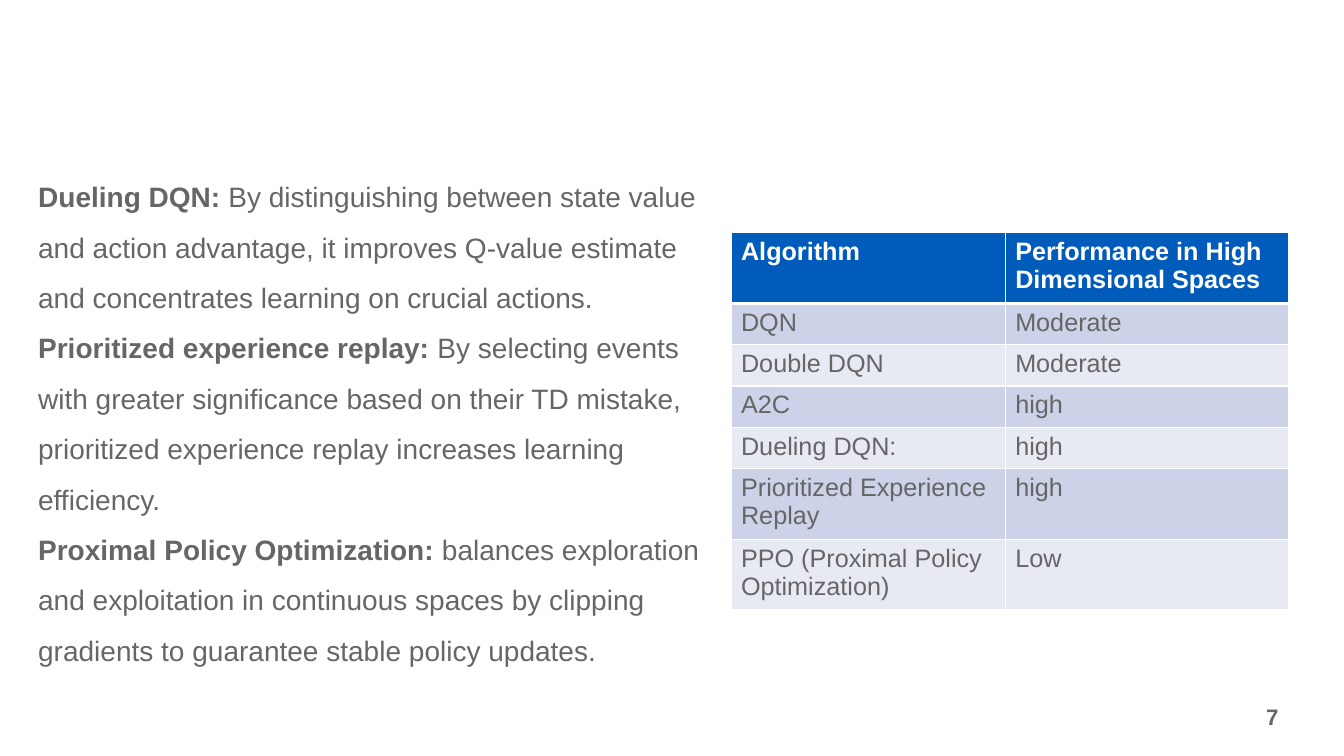
"""Build the slide on how learning algorithms cope with high dimensional spaces."""
from dataclasses import dataclass

from lxml.etree import SubElement
from pptx import Presentation
from pptx.dml.color import RGBColor
from pptx.enum.text import MSO_ANCHOR, MSO_AUTO_SIZE, PP_ALIGN
from pptx.oxml.ns import qn
from pptx.slide import Slide
from pptx.table import _Cell
from pptx.text.text import TextFrame
from pptx.util import Inches, Pt


@dataclass(frozen=True)
class Theme:
    """Colours, font and type sizes."""
    font: str = "Arial"
    ink: str = "666666"
    white: str = "FFFFFF"
    head: str = "005BBB"
    bands: tuple[str, str] = ("CCD2E7", "E7EAF3")
    body: int = 20
    cell: int = 18
    page: int = 16


@dataclass(frozen=True)
class Box:
    """Place and size in inches."""
    left: float
    top: float
    width: float
    height: float

    def emu(self) -> tuple[Inches, ...]:
        """Return the four lengths."""
        return tuple(Inches(v) for v in (self.left, self.top, self.width, self.height))


@dataclass(frozen=True)
class Run:
    """A piece of text, bold or plain; a line feed is a line break."""
    text: str
    bold: bool = False


@dataclass(frozen=True)
class Row:
    """One table row."""
    name: str
    score: str
    height: float = 0.41


THEME = Theme()
NOTES = (
    Run("Dueling DQN: ", True),
    Run("By distinguishing between state value and action advantage, it improves "
        "Q-value estimate and concentrates learning on crucial actions.\n"),
    Run("Prioritized experience replay: ", True),
    Run("By selecting events with greater significance based on their TD mistake, "
        "prioritized experience replay increases learning efficiency.\n"),
    Run("Proximal Policy Optimization:", True),
    Run(" balances exploration and exploitation in continuous spaces by clipping "
        "gradients to guarantee stable policy updates.\n"),
)
ROWS = (
    Row("Algorithm", "Performance in High Dimensional Spaces", 0.69),
    Row("DQN", "Moderate"),
    Row("Double DQN", "Moderate"),
    Row("A2C", "high"),
    Row("Dueling DQN:", "high"),
    Row("Prioritized Experience Replay", "high", 0.69),
    Row("PPO (Proximal Policy Optimization)", "Low", 0.69),
)
WIDTHS = (2.72, 2.81)


def write(frame: TextFrame, *runs: Run, size: int, color: str = THEME.ink,
          align: PP_ALIGN = PP_ALIGN.LEFT, spacing: float = 1.0) -> None:
    """Fill the first paragraph of a frame with formatted runs."""
    frame.word_wrap = True
    para = frame.paragraphs[0]
    para.alignment = align
    para.line_spacing = spacing
    for item in runs:
        run = para.add_run()
        run.text = item.text.rstrip("\n")
        font = run.font
        font.name, font.size, font.bold = THEME.font, Pt(size), item.bold
        font.color.rgb = RGBColor.from_string(color)
        if item.text.endswith("\n"):
            para.add_line_break()


def add_box(slide: Slide, box: Box) -> TextFrame:
    """Add a text box anchored in the middle."""
    frame = slide.shapes.add_textbox(*box.emu()).text_frame
    frame.vertical_anchor = MSO_ANCHOR.MIDDLE
    return frame


def edge(cell: _Cell, base: float, top: float) -> None:
    """Draw white borders around a cell and set its lower and upper widths."""
    props = cell._tc.get_or_add_tcPr()
    widths = {"a:lnL": 1, "a:lnR": 1, "a:lnT": top, "a:lnB": base}
    for spot, (tag, width) in enumerate(widths.items()):
        line = SubElement(props, qn(tag), w=str(Pt(width)))
        fill = SubElement(line, qn("a:solidFill"))
        SubElement(fill, qn("a:srgbClr"), val=THEME.white)
        props.insert(spot, line)


def add_grid(slide: Slide, box: Box) -> None:
    """Add the table of algorithms."""
    table = slide.shapes.add_table(len(ROWS), len(WIDTHS), *box.emu()).table
    for column, width in zip(table.columns, WIDTHS):
        column.width = Inches(width)
    for i, row in enumerate(ROWS):
        table.rows[i].height = Inches(row.height)
        head = i == 0
        shade = THEME.head if head else THEME.bands[(i - 1) % 2]
        for j, text in enumerate((row.name, row.score)):
            cell = table.cell(i, j)
            cell.fill.solid()
            cell.fill.fore_color.rgb = RGBColor.from_string(shade)
            edge(cell, base=3 if head else 1, top=3 if i == 1 else 1)
            write(cell.text_frame, Run(text, head), size=THEME.cell,
                  color=THEME.white if head else THEME.ink)


def main() -> None:
    """Build and save the slide."""
    deck = Presentation()
    deck.slide_width, deck.slide_height = Inches(13.33), Inches(7.5)
    slide = deck.slides.add_slide(deck.slide_layouts.get_by_name("Blank"))
    page = add_box(slide, Box(8.28, 6.91, 4.5, 0.4))
    write(page, Run("7", True), size=THEME.page, align=PP_ALIGN.RIGHT)
    notes = add_box(slide, Box(0.28, 1.49, 6.95, 5.55))
    notes.auto_size = MSO_AUTO_SIZE.SHAPE_TO_FIT_TEXT
    write(notes, *NOTES, size=THEME.body, spacing=1.5)
    add_grid(slide, Box(7.25, 2.31, 5.53, 3.72))
    deck.save("out.pptx")


if __name__ == "__main__":
    main()
